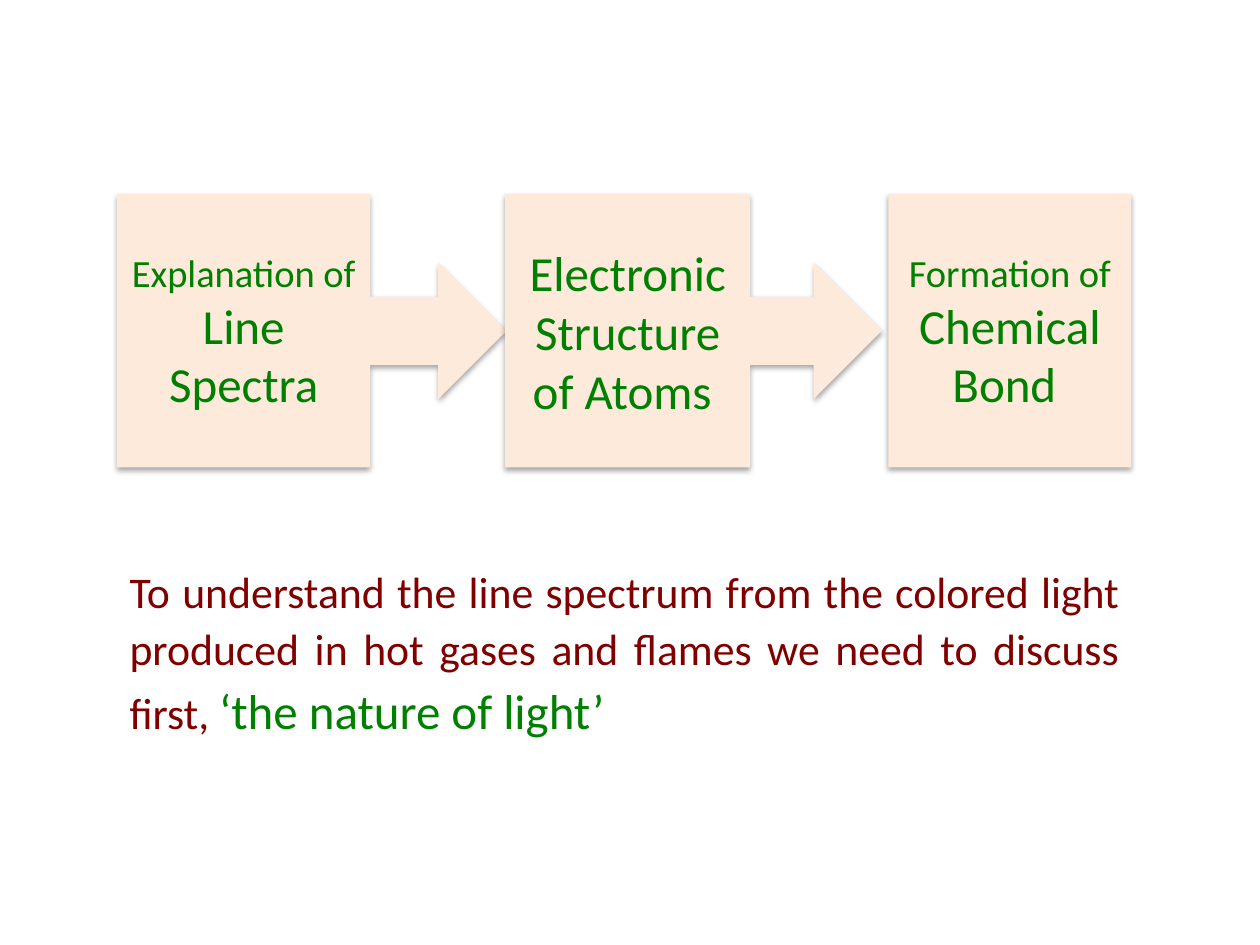
import pptx
import pptx.util
import pptx.dml.color
import pptx.enum.shapes
import pptx.enum.text
import pptx.oxml
import pptx.oxml.ns

# Content: each text is a list of (words, size, colour name)
COLORS = {"box": "FDEADA", "green": "008000", "maroon": "800000", "shadow": "000000"}
FONT = "Calibri"
SMALL, BODY, LARGE = 22, 25, 28
CALLOUT = pptx.enum.shapes.MSO_SHAPE.RIGHT_ARROW_CALLOUT
BOX = pptx.enum.shapes.MSO_SHAPE.RECTANGLE

# Steps: shape, left, width (inches), runs
STEPS = [
    (CALLOUT, 0.93, 3.09, [("Explanation of ", SMALL, "green"), ("Line Spectra", LARGE, "green")]),
    (CALLOUT, 4.01, 2.99, [("Electronic Structure of Atoms ", LARGE, "green")]),
    (BOX, 7.05, 1.93, [("Formation of ", SMALL, "green"), ("Chemical Bond ", LARGE, "green")]),
]
STEP_TOP, STEP_HEIGHT = 1.54, 2.17
SUMMARY = [
    ("To understand the line spectrum from the colored light produced in hot gases "
     "and flames we need to discuss first, ", BODY, "maroon"),
    ("‘the nature of light’", LARGE, "green"),
]
SUMMARY_TOP, SUMMARY_HEIGHT = 4.39, 1.54


def color(name):
    return pptx.dml.color.RGBColor.from_string(COLORS[name])


def inches(*lengths):
    return [pptx.util.Inches(length) for length in lengths]


def write(shape, runs, alignment):
    shape.text_frame.word_wrap = True
    paragraph = shape.text_frame.paragraphs[0]
    paragraph.alignment = alignment
    paragraph.font.name = FONT
    for words, size, color_name in runs:
        run = paragraph.add_run()
        run.text = words
        run.font.name = FONT
        run.font.size = pptx.util.Pt(size)
        run.font.color.rgb = color(color_name)
    return paragraph


def add_shadow(shape):
    shape.shadow.inherit = False
    effects = shape._element.spPr.find(pptx.oxml.ns.qn("a:effectLst"))
    effects.append(pptx.oxml.parse_xml(
        f'<a:outerShdw {pptx.oxml.ns.nsdecls("a")} blurRad="{pptx.util.Pt(3.1)}" '
        f'dist="{pptx.util.Pt(1.8)}" dir="5400000" rotWithShape="0">'
        f'<a:srgbClr val="{COLORS["shadow"]}"><a:alpha val="35000"/></a:srgbClr>'
        '</a:outerShdw>'))


presentation = pptx.Presentation()
presentation.slide_width, presentation.slide_height = inches(10, 7.5)
slide = presentation.slides.add_slide(presentation.slide_layouts[6])

# Chain of steps
for kind, left, width, runs in STEPS:
    step = slide.shapes.add_shape(kind, *inches(left, STEP_TOP, width, STEP_HEIGHT))
    step.fill.solid()
    step.fill.fore_color.rgb = color("box")
    step.line.fill.background()
    add_shadow(step)
    step.text_frame.vertical_anchor = pptx.enum.text.MSO_ANCHOR.MIDDLE
    write(step, runs, pptx.enum.text.PP_ALIGN.CENTER)

# Summary, spanning from the first step to the end of the last
summary_left = STEPS[0][1]
summary_width = STEPS[-1][1] + STEPS[-1][2] - summary_left
summary = slide.shapes.add_textbox(
    *inches(summary_left, SUMMARY_TOP, summary_width, SUMMARY_HEIGHT))
summary_paragraph = write(summary, SUMMARY, pptx.enum.text.PP_ALIGN.JUSTIFY)
summary_paragraph.line_spacing = 1.1
summary.text_frame.auto_size = pptx.enum.text.MSO_AUTO_SIZE.SHAPE_TO_FIT_TEXT

presentation.save("out.pptx")
